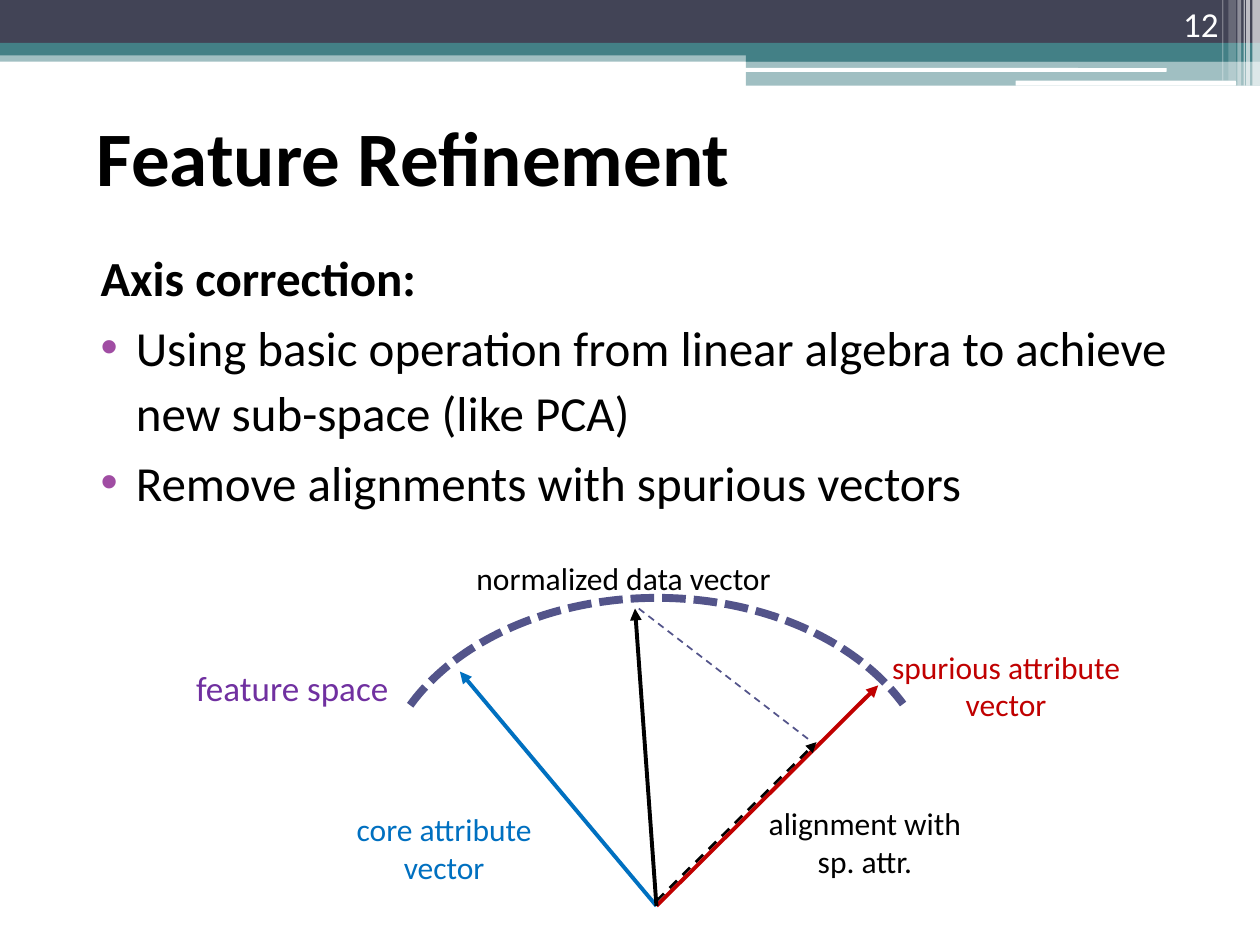
from lxml import etree
from pptx import Presentation
from pptx.dml.color import RGBColor
from pptx.enum import dml, shapes, text
from pptx.oxml.ns import qn
from pptx.util import Inches, Pt

FONT = "Calibri"
BLACK, WHITE = RGBColor(0, 0, 0), RGBColor(255, 255, 255)
NAVY, TEAL = RGBColor(0x42, 0x44, 0x56), RGBColor(0x43, 0x80, 0x86)
INDIGO, ORCHID = RGBColor(0x53, 0x54, 0x8A), RGBColor(0xA0, 0x4D, 0xA3)
RED, BLUE = RGBColor(0xC0, 0, 0), RGBColor(0, 0x70, 0xC0)
PURPLE = RGBColor(0x70, 0x30, 0xA0)
RECT, ROUND = shapes.MSO_SHAPE.RECTANGLE, shapes.MSO_SHAPE.ROUNDED_RECTANGLE
DASH, DOT = dml.MSO_LINE.DASH, dml.MSO_LINE.SQUARE_DOT
LEFT, CENTER, RIGHT = text.PP_ALIGN.LEFT, text.PP_ALIGN.CENTER, text.PP_ALIGN.RIGHT
TOP, MIDDLE, BOTTOM = text.MSO_ANCHOR.TOP, text.MSO_ANCHOR.MIDDLE, text.MSO_ANCHOR.BOTTOM

# Header bands: shape, box, colour, opacity in percent
BANDS = [
    (RECT, (0, 0.4, 10, 0.09), TEAL, 50),
    (RECT, (0, 0, 10, 0.34), NAVY, 100),
    (RECT, (0, 0.34, 10, 0.1), TEAL, 100),
    (RECT, (5.92, 0.39, 4.08, 0.1), TEAL, 100),
    (RECT, (5.92, 0.48, 4.08, 0.2), TEAL, 50),
    (ROUND, (5.91, 0.54, 3.35, 0.03), WHITE, 100),
    (ROUND, (8.06, 0.64, 1.75, 0.04), WHITE, 100),
]
# Vertical stripes at the right edge: left, width, height, opacity
STRIPES = [(9.94, 0.06, 0.68, 65), (9.89, 0.03, 0.68, 65), (9.87, 0.01, 0.68, 60),
           (9.82, 0.03, 0.68, 40), (9.75, 0.06, 0.64, 20), (9.7, 0.01, 0.64, 30)]
BANDS += [(RECT, (x, 0, w, h), WHITE, a) for x, w, h, a in STRIPES]

# Body: text, is a bullet
BODY = [
    ("Axis correction:", False),
    ("Using basic operation from linear algebra to achieve new sub-space (like PCA)", True),
    ("Remove alignments with spurious vectors", True),
]

# Vectors: start, end, colour, width, dash, arrowhead
ORIGIN = (5.21, 7.19)
VECTORS = [
    (ORIGIN, (6.97, 5.44), RED, 2.25, None, True),
    (ORIGIN, (3.65, 5.33), BLUE, 2.25, None, True),
    (ORIGIN, (5.04, 4.83), BLACK, 2.25, None, True),
    ((5.07, 4.83), (6.42, 5.87), INDIGO, 1, DASH, False),
    ((5.21, 7.15), (6.48, 5.89), BLACK, 1.5, DASH, True),
]
LABELS = [
    ("core attribute vector", (2.42, 6.38, 2.21, 0.71), 18, BLUE),
    ("spurious attribute vector", (6.88, 5.09, 2.21, 0.71), 18, RED),
    ("normalized data vector", (3.5, 4.39, 2.9, 0.4), 18, BLACK),
    ("feature space", (0.87, 5.24, 2.9, 0.44), 20, PURPLE),
    ("alignment with sp. attr.", (5.91, 6.33, 1.91, 0.71), 18, BLACK),
]


def add_band(s, kind, box, color, opacity):
    sp = s.shapes.add_shape(kind, *map(Inches, box))
    sp.shadow.inherit = False
    sp.fill.solid()
    sp.fill.fore_color.rgb = color
    sp.line.fill.background()
    if opacity < 100:
        clr = sp.fill._xPr.find(".//" + qn("a:srgbClr"))
        etree.SubElement(clr, qn("a:alpha"), val=str(opacity * 1000))


def add_run(p, words, size, color, bold=False):
    r = p.add_run()
    r.text = words
    r.font.name, r.font.size, r.font.bold = FONT, Pt(size), bold
    r.font.color.rgb = color


def add_frame(s, box, anchor=TOP):
    tf = s.shapes.add_textbox(*map(Inches, box)).text_frame
    tf.word_wrap = True
    tf.vertical_anchor = anchor
    return tf


def add_text(s, words, box, size, color, align=CENTER, anchor=TOP, bold=False):
    p = add_frame(s, box, anchor).paragraphs[0]
    p.alignment = align
    add_run(p, words, size, color, bold)


def add_body(s, box):
    tf = add_frame(s, box)
    for i, (words, bullet) in enumerate(BODY):
        p = tf.add_paragraph() if i else tf.paragraphs[0]
        p.line_spacing, p.space_before = 1.1, Pt(3)
        add_run(p, words, 28, BLACK, bold=not bullet)
        pPr = p._p.get_or_add_pPr()
        pPr.set("marL", str(Inches(0.4 if bullet else 0.12)))
        pPr.set("indent", str(Inches(-0.28 if bullet else 0)))
        if bullet:
            clr = etree.SubElement(pPr, qn("a:buClr"))
            etree.SubElement(clr, qn("a:srgbClr"), val=str(ORCHID))
            etree.SubElement(pPr, qn("a:buFont"), typeface="Arial")
            etree.SubElement(pPr, qn("a:buChar"), char="•")


def add_arc(s, box):
    sp = s.shapes.add_shape(shapes.MSO_SHAPE.ARC, *map(Inches, box))
    sp.shadow.inherit = False
    sp.rotation = 270
    sp.adjustments[0], sp.adjustments[1] = 174.3, 41.51
    sp.fill.background()
    sp.line.color.rgb, sp.line.width, sp.line.dash_style = INDIGO, Pt(4.5), DOT


def add_vector(s, start, end, color, width, dash, arrow):
    c = s.shapes.add_connector(shapes.MSO_CONNECTOR.STRAIGHT, *map(Inches, start + end))
    c.line.color.rgb, c.line.width = color, Pt(width)
    if dash:
        c.line.dash_style = dash
    if arrow:
        etree.SubElement(c.line._get_or_add_ln(), qn("a:tailEnd"), type="triangle")
    etree.SubElement(c._element.spPr, qn("a:effectLst"))


def main():
    prs = Presentation()
    prs.slide_width, prs.slide_height = Inches(10), Inches(7.5)
    s = prs.slides.add_slide(prs.slide_layouts[6])

    for band in BANDS:
        add_band(s, *band)

    # Title, body and page number
    add_text(s, "Feature Refinement", (0.67, 0.7, 8.75, 1.07), 44, BLACK, LEFT, MIDDLE, True)
    add_body(s, (0.58, 1.87, 8.92, 5.21))
    add_text(s, "12", (8.94, 0, 0.83, 0.4), 20, WHITE, RIGHT, BOTTOM)

    # Vector diagram
    add_arc(s, (3.63, 4.12, 3.17, 4.42))
    for vector in VECTORS:
        add_vector(s, *vector)
    for label in LABELS:
        add_text(s, *label)

    prs.save("out.pptx")


if __name__ == "__main__":
    main()
